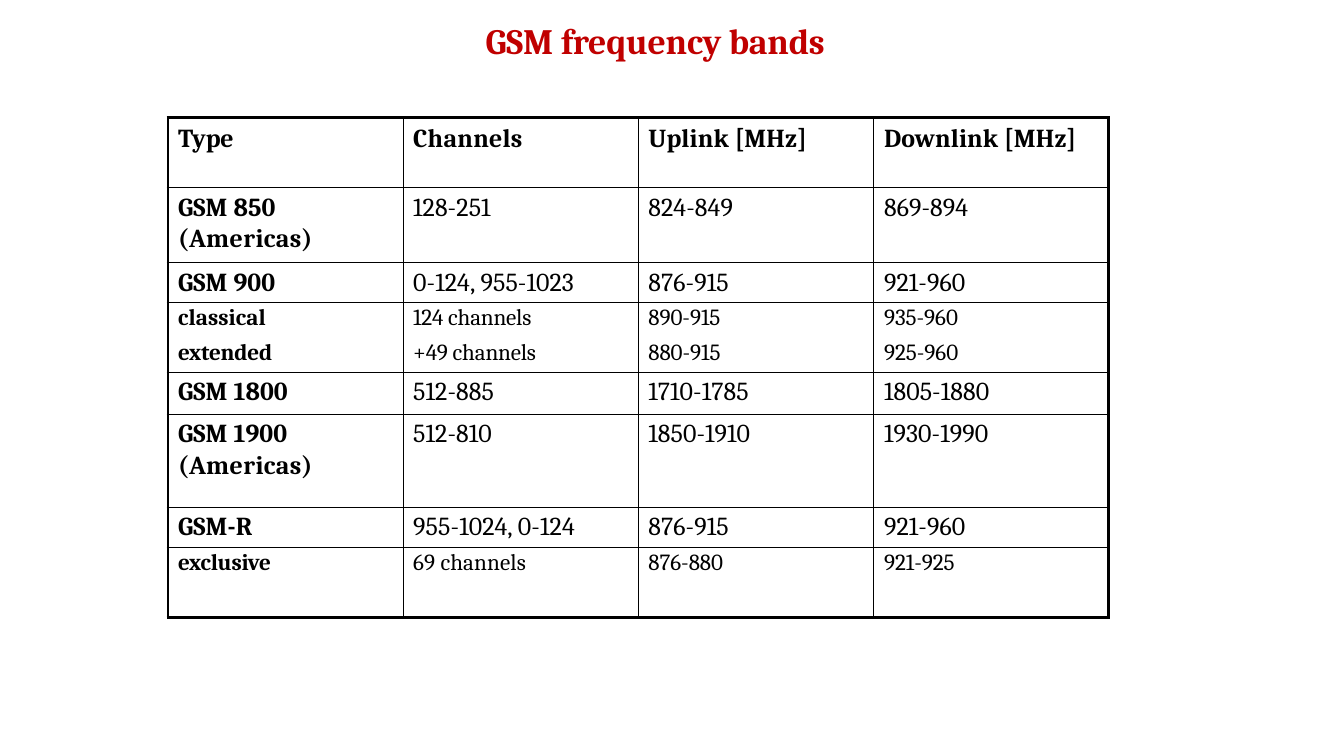
from lxml.etree import SubElement
from pptx import Presentation
from pptx.dml.color import RGBColor
from pptx.enum.text import PP_ALIGN as Align
from pptx.oxml.ns import qn
from pptx.util import Pt


def add_run(p, text, size, color, bold, spacing):
    """Add a Cambria run; spacing is the extra gap between letters in points."""
    r = p.add_run()
    r.text = text
    r.font.name = "Cambria"
    r.font.size = Pt(size)
    r.font.bold = bold
    r.font.color.rgb = RGBColor.from_string(color)
    r.font._element.set("spc", str(round(spacing * 100)))


def add_border(cell, side, width):
    """Draw one cell edge in black; a width of 0 hides it."""
    ln = SubElement(cell._tc.get_or_add_tcPr(), qn(f"a:ln{side}"), w=str(Pt(width)))
    if width:
        fill = SubElement(ln, qn("a:solidFill"))
        SubElement(fill, qn("a:srgbClr"), val="000000")
    else:
        SubElement(ln, qn("a:noFill"))


prs = Presentation()
prs.slide_width, prs.slide_height = Pt(960), Pt(540)
s = prs.slides.add_slide(prs.slide_layouts[6])

# Title
tf = s.shapes.add_textbox(Pt(342), Pt(12.24), Pt(252), Pt(31.7)).text_frame
tf.word_wrap = True
tf.margin_left = tf.margin_right = tf.margin_bottom = 0
tf.margin_top = Pt(0.95)
p = tf.paragraphs[0]
p.alignment = Align.CENTER
add_run(p, "GSM ", 25.5, "C00000", True, -0.1)
add_run(p, "frequency bands", 25.5, "C00000", True, -0.2)

# Frequency table: row height, top margin, text size, cells
bands = [
    (50, 4.2, 18.5, ["Type", "Channels", "Uplink [MHz]", "Downlink [MHz]"]),
    (53.6, 3.5, 18.5, ["GSM 850\n(Americas)", "128-251", "824-849", "869-894"]),
    (28.6, 3.5, 18.5, ["GSM 900", "0-124, 955-1023", "876-915", "921-960"]),
    (25, 1.4, 16.5, ["classical", "124 channels", "890-915", "935-960"]),
    (25, 1.6, 16.5, ["extended", "+49 channels", "880-915", "925-960"]),
    (30, 3.5, 18.5, ["GSM 1800", "512-885", "1710-1785", "1805-1880"]),
    (66.4, 3.5, 18.5, ["GSM 1900\n(Americas)", "512-810", "1850-1910", "1930-1990"]),
    (28.6, 3.5, 18.5, ["GSM-R", "955-1024, 0-124", "876-915", "921-960"]),
    (50, 1.4, 16.5, ["exclusive", "69 channels", "876-880", "921-925"]),
]
letter_spacing = {"Type": -0.1, "Channels": 0.2, "(Americas)": 0.3, "classical": 0.1,
                  "124 channels": -0.1, "extended": -0.1, "+49 channels": -0.1,
                  "exclusive": -0.1, "69 channels": 0.1}
COLS, COL_W = 4, 168
OUTER, INNER = 2.25, 0.75
row_edges = [OUTER] + [INNER] * (len(bands) - 1) + [OUTER]
row_edges[4] = 0  # classical and extended share one block
col_edges = [OUTER] + [INNER] * (COLS - 1) + [OUTER]

table = s.shapes.add_table(len(bands), COLS, Pt(120), Pt(84.2), Pt(COLS * COL_W),
                           Pt(sum(band[0] for band in bands))).table
table.first_row = table.horz_banding = False
for col in table.columns:
    col.width = Pt(COL_W)

for i, (height, top, size, texts) in enumerate(bands):
    table.rows[i].height = Pt(height)
    for j, text in enumerate(texts):
        cell = table.cell(i, j)
        edges = (col_edges[j], col_edges[j + 1], row_edges[i], row_edges[i + 1])
        for side, width in zip("LRTB", edges):
            add_border(cell, side, width)
        cell.fill.background()
        cell.margin_left = Pt(7.6 if j == COLS - 1 else 7.2)
        cell.margin_top = Pt(top)
        cell.margin_right = cell.margin_bottom = 0
        tf = cell.text_frame
        for k, line in enumerate(text.split("\n")):
            p = tf.add_paragraph() if k else tf.paragraphs[0]
            if k:
                p.space_before = Pt(1.1)
            spacing = letter_spacing.get(line, 0.1 if size == 18.5 else 0)
            add_run(p, line, size, "000000", i == 0 or j == 0, spacing)

prs.save("out.pptx")
